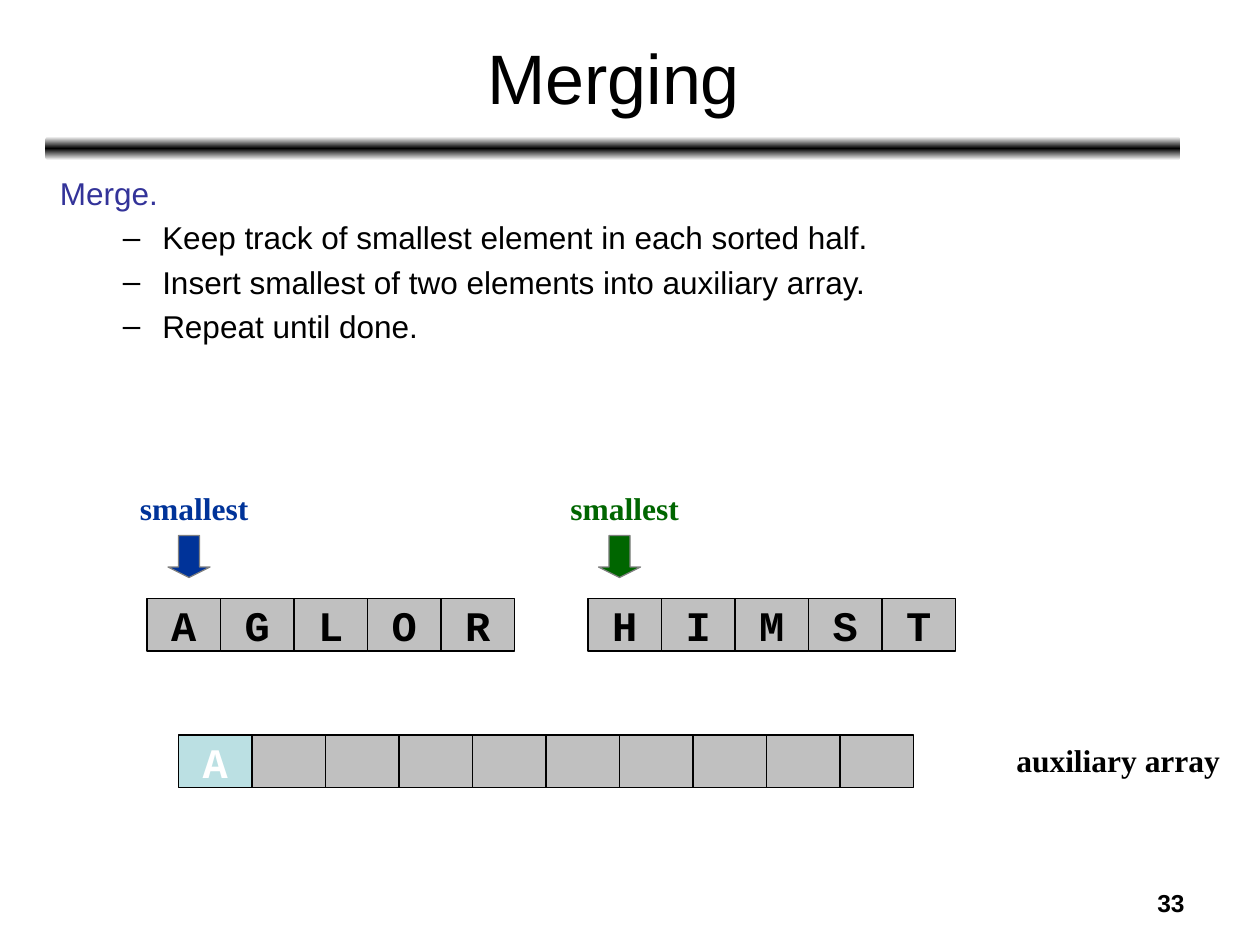
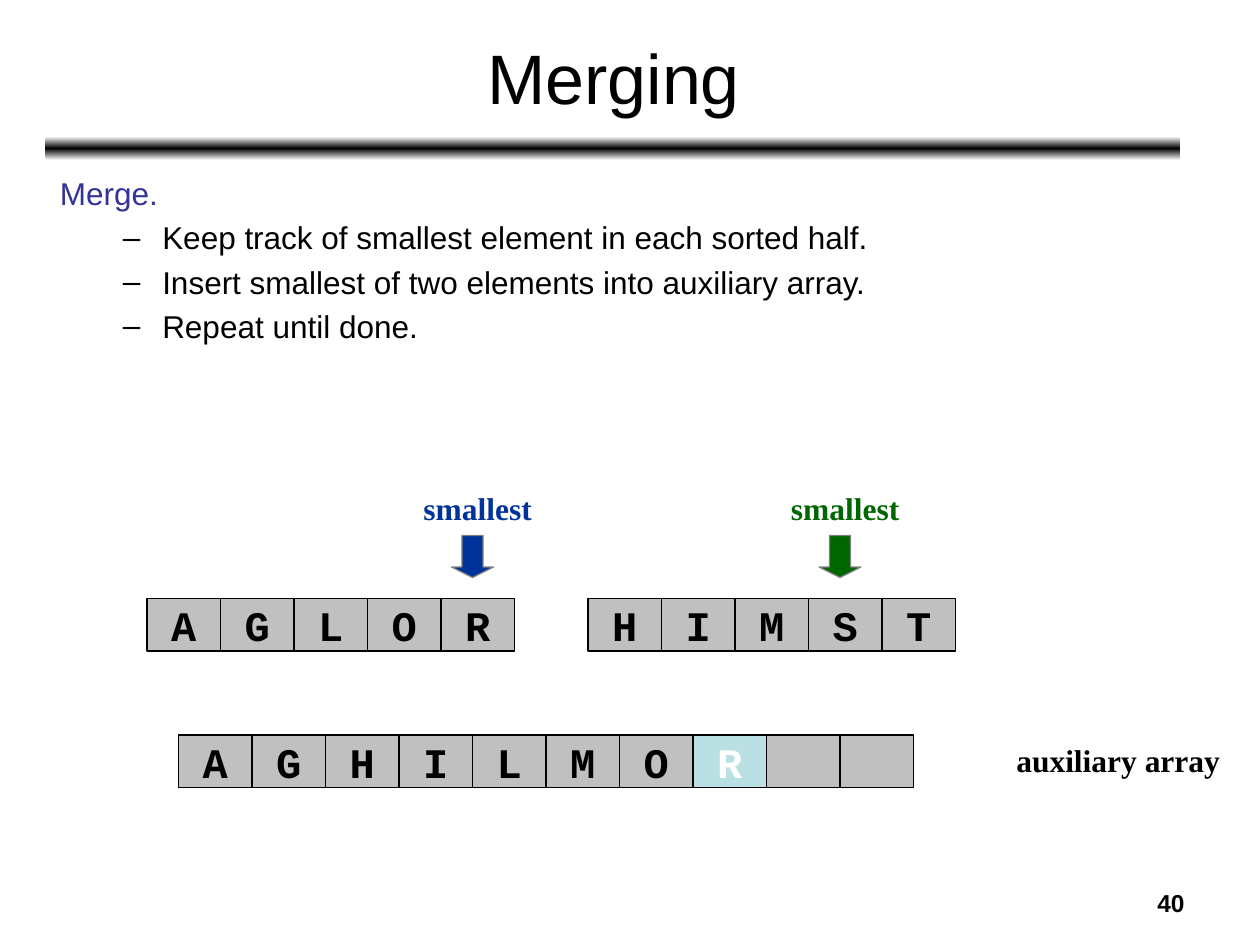
"""Build two slides that show steps of merging two sorted arrays."""
from dataclasses import dataclass

from lxml.etree import SubElement
from pptx import Presentation
from pptx.dml.color import RGBColor
from pptx.enum.shapes import MSO_SHAPE
from pptx.enum.text import MSO_ANCHOR, MSO_AUTO_SIZE, PP_ALIGN
from pptx.oxml import parse_xml
from pptx.oxml.ns import nsdecls, qn
from pptx.util import Pt


@dataclass(frozen=True)
class Theme:
    black: str = "000000"
    white: str = "FFFFFF"
    lead: str = "333399"
    left: str = "003399"
    right: str = "006600"
    cell: str = "C0C0C0"
    fresh: str = "BBE0E3"
    edge: str = "808080"
    sans: str = "Arial"
    serif: str = "Times New Roman"
    mono: str = "Courier New"
    title: int = 40
    letter: int = 24
    body: int = 18
    number: int = 14
    line: float = 0.75


STEPS = [
    "Keep track of smallest element in each sorted half.",
    "Insert smallest of two elements into auxiliary array.",
    "Repeat until done.",
]
HALVES = [("AGLOR", 84), ("HIMST", 336)]
SLIDES = [(33, "A", 96, 342), (40, "AGHILMOR", 258, 468)]
CELL_W, CELL_H = 42, 30
AUX_LEFT, AUX_TOP, AUX_SIZE = 102, 420, 10


class Deck:
    def __init__(self, theme):
        self.theme = theme
        self.prs = Presentation()
        self.prs.slide_width, self.prs.slide_height = Pt(720), Pt(540)
        self.slide = None

    def start(self, title):
        self.slide = self.prs.slides.add_slide(self.prs.slide_layouts[1])
        self.bar()
        head = self.slide.shapes.title
        self.place(head, 26.6, 8, 648, 71)
        head.text_frame.vertical_anchor = MSO_ANCHOR.MIDDLE
        self.style(head.text_frame.paragraphs[0], title, self.theme.title,
                   align=PP_ALIGN.CENTER)

    def place(self, shape, left, top, width, height):
        shape.left, shape.top = Pt(left), Pt(top)
        shape.width, shape.height = Pt(width), Pt(height)

    def style(self, para, text, size, face=None, color=None, bold=False,
              align=PP_ALIGN.LEFT):
        para.text = text
        para.alignment = align
        font = para.font
        font.size, font.bold = Pt(size), bold
        font.name = face or self.theme.sans
        font.color.rgb = RGBColor.from_string(color or self.theme.black)

    def shape(self, kind, left, top, width, height, fill=None, line=None):
        item = self.slide.shapes.add_shape(
            kind, Pt(left), Pt(top), Pt(width), Pt(height))
        item.shadow.inherit = False
        if fill:
            item.fill.solid()
            item.fill.fore_color.rgb = RGBColor.from_string(fill)
        if line:
            item.line.color.rgb = RGBColor.from_string(line)
            item.line.width = Pt(self.theme.line)
        else:
            item.line.fill.background()
        return item

    def bar(self):
        item = self.shape(MSO_SHAPE.ROUNDED_RECTANGLE, 26, 78, 648.6, 13.6)
        fade = parse_xml(f'<a:gradFill {nsdecls("a")}><a:gsLst/>'
                         '<a:lin ang="5400000" scaled="1"/></a:gradFill>')
        ends = self.theme.white
        for stop, color in ((0, ends), (50, self.theme.black), (100, ends)):
            mark = SubElement(fade[0], qn("a:gs"), pos=str(stop * 1000))
            SubElement(mark, qn("a:srgbClr"), val=color)
        item.element.spPr.find(qn("a:prstGeom")).addnext(fade)

    def bullets(self, lead, items):
        body = self.slide.placeholders[1]
        self.place(body, 27, 96, 648, 399.6)
        frame = body.text_frame
        first = frame.paragraphs[0]
        self.style(first, lead, self.theme.body, color=self.theme.lead)
        props = first._p.get_or_add_pPr()
        props.set("marL", "0")
        props.set("indent", "0")
        props.insert(0, parse_xml(f'<a:buNone {nsdecls("a")}/>'))
        for item in items:
            para = frame.add_paragraph()
            para.level = 1
            self.style(para, item, self.theme.body)

    def text(self, text, left, top, width, height, size, **look):
        box = self.slide.shapes.add_textbox(
            Pt(left), Pt(top), Pt(width), Pt(height))
        box.text_frame.word_wrap = True
        self.style(box.text_frame.paragraphs[0], text, size, bold=True, **look)
        return box

    def label(self, text, left, top, width, color):
        box = self.text(text, left, top, width, 28.8, self.theme.body,
                        face=self.theme.serif, color=color,
                        align=PP_ALIGN.CENTER)
        box.text_frame.auto_size = MSO_AUTO_SIZE.SHAPE_TO_FIT_TEXT

    def number(self, value):
        self.text(str(value), 516, 504, 168, 25.2, self.theme.number,
                  align=PP_ALIGN.RIGHT)

    def marker(self, left, color):
        self.label("smallest", left - 60, 276, 150, color)
        arrow = self.shape(MSO_SHAPE.DOWN_ARROW, left, 306, 24, 24,
                           color, self.theme.edge)
        arrow.adjustments[1] = 0.25

    def cell(self, letter, left, top, fresh=False):
        theme = self.theme
        item = self.shape(MSO_SHAPE.RECTANGLE, left, top, CELL_W, CELL_H,
                          theme.fresh if fresh else theme.cell, theme.black)
        if letter:
            frame = item.text_frame
            frame.word_wrap = False
            frame.vertical_anchor = MSO_ANCHOR.MIDDLE
            self.style(frame.paragraphs[0], letter, theme.letter, theme.mono,
                       theme.white if fresh else theme.black, True,
                       PP_ALIGN.CENTER)

    def array(self, letters, left, top, size, fresh=None):
        for i in range(size):
            self.cell(letters[i:i + 1], left + i * CELL_W, top, i == fresh)


def main():
    theme = Theme()
    deck = Deck(theme)
    for number, merged, left, right in SLIDES:
        deck.start("Merging")
        deck.bullets("Merge.", STEPS)
        deck.number(number)
        deck.label("auxiliary array", 570, AUX_TOP, 138, theme.black)
        deck.marker(left, theme.left)
        deck.marker(right, theme.right)
        for letters, start in HALVES:
            deck.array(letters, start, 342, len(letters))
        deck.array(merged, AUX_LEFT, AUX_TOP, AUX_SIZE, len(merged) - 1)
    deck.prs.save("out.pptx")


if __name__ == "__main__":
    main()
